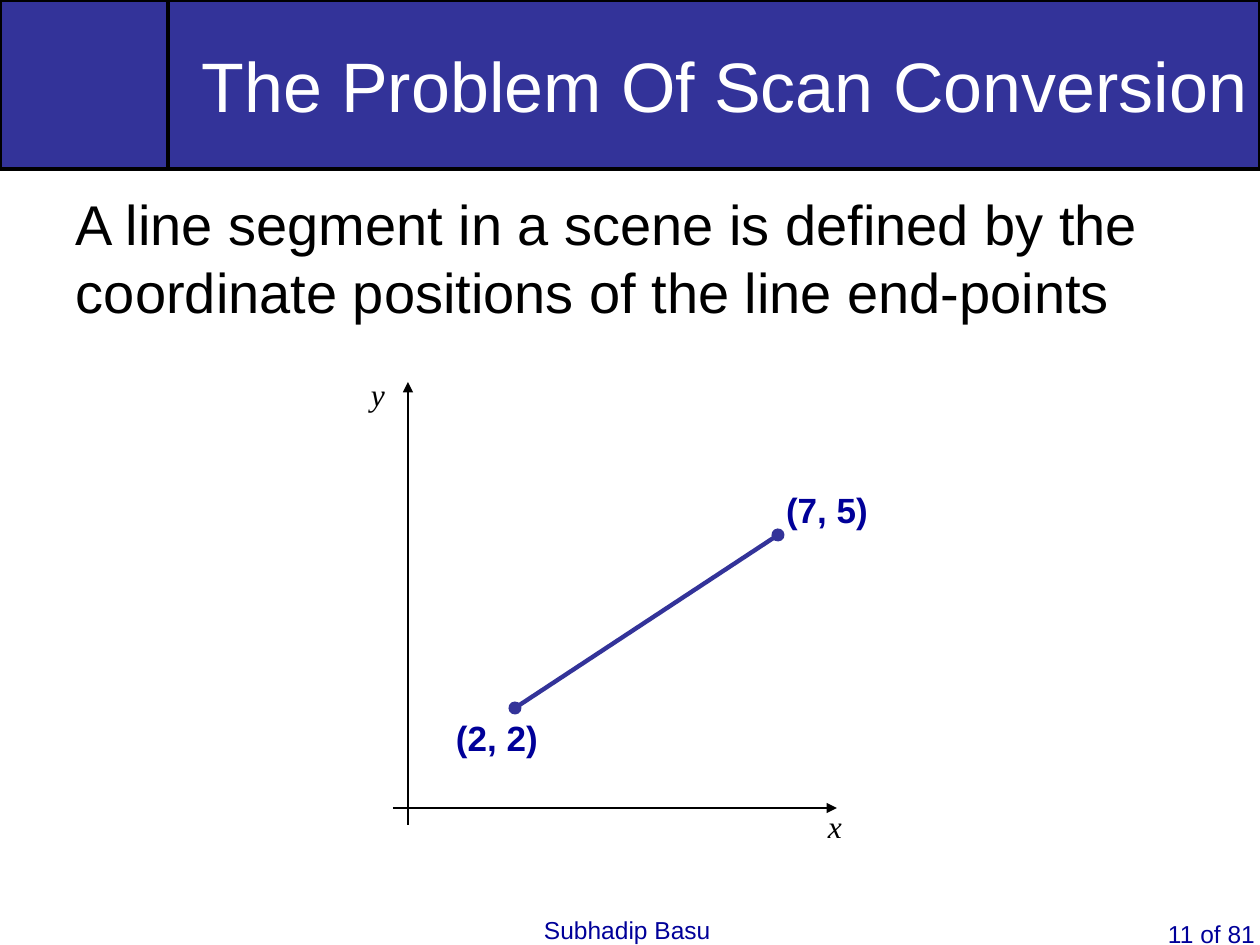
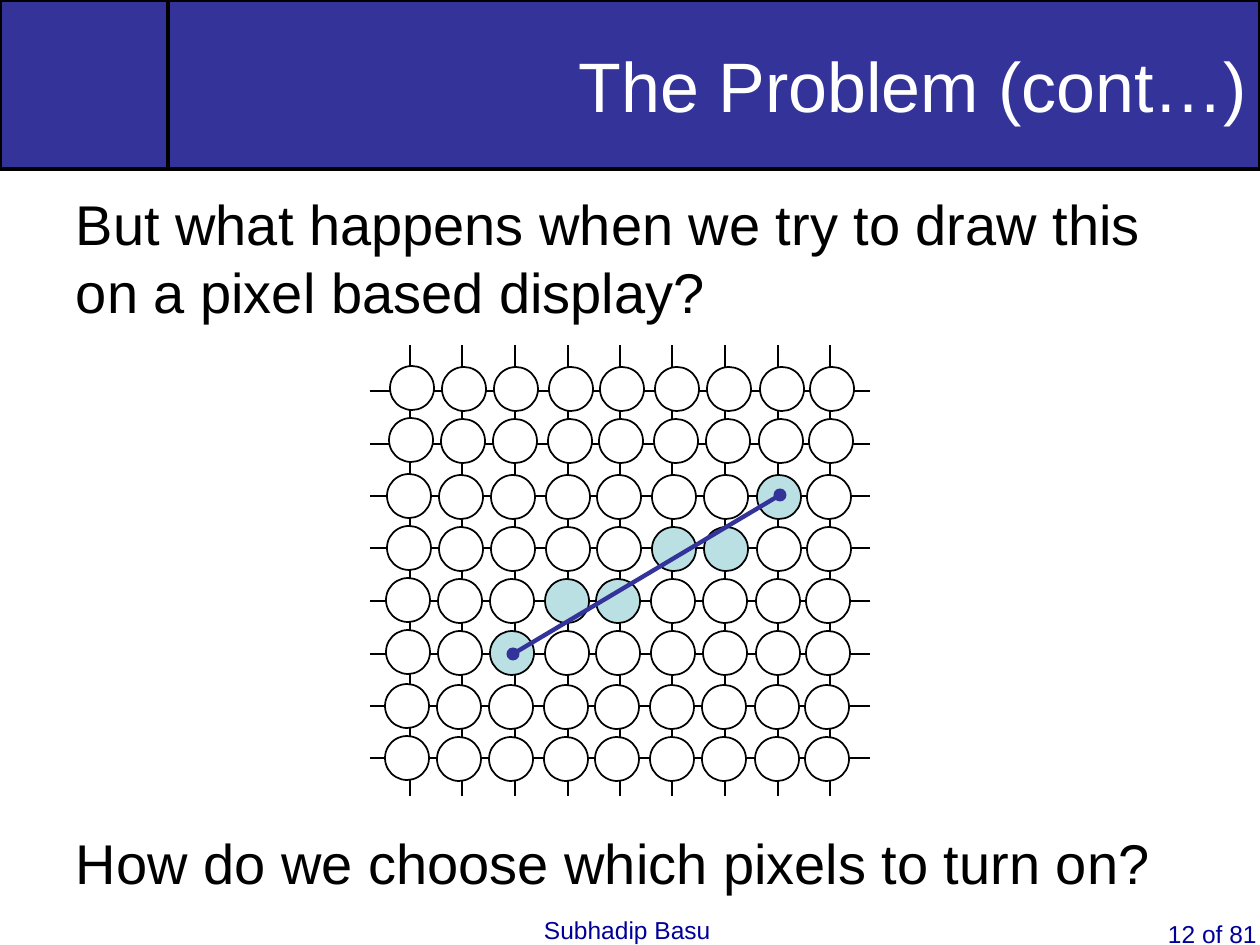
from lxml.etree import SubElement
from pptx import Presentation
from pptx.dml.color import RGBColor
from pptx.enum.shapes import MSO_CONNECTOR, MSO_SHAPE
from pptx.enum.text import MSO_ANCHOR, PP_ALIGN
from pptx.oxml.ns import qn
from pptx.util import Pt

# Content
AUTHOR = "Subhadip Basu"
TOTAL_PAGES = 81
SCAN_TITLE = "The Problem Of Scan Conversion"
SCAN_TEXT = ("A line segment in a scene is defined by the coordinate "
             "positions of the line end-points")
PIXEL_TITLE = "The Problem (cont…)"
PIXEL_TEXT = "But what happens when we try to draw this on a pixel based display?"
PIXEL_QUESTION = "How do we choose which pixels to turn on?"

# Axes and segment: start, end in px
AXES = [((408, 825), (408, 382)), ((393, 808), (837, 808))]
AXIS_LABELS = [("x", (815, 801, 50, 50)), ("y", (358, 369, 50, 50))]
SEGMENT = ((515, 708), (778, 535))
POINT_LABELS = [("(2, 2)", (443, 710, 130, 55)), ("(7, 5)", (773, 482, 130, 55))]

# Pixel grid: columns count from the left, rows from the top
COLUMN_LEFTS = [385, 437, 489, 544, 595, 650, 702, 755, 805]
ROW_TOPS = [367, 419, 475, 527, 579, 631, 685, 737]
ROW_DRIFTS = [5, 4, 2, 2, 1, 1, 0, 0]
LIT_PIXELS = {(2, 5), (3, 4), (4, 4), (5, 3), (6, 3), (7, 2)}
PIXEL_SIZE = 44
WIRE_LEFT, WIRE_TOP = 410, 391
WIRE_STEP = 52.5
PIXEL_SEGMENT = ((513, 654), (780, 495))

# Shared style
COLORS = {"band": "333399", "label": "000099", "ink": "000000",
          "paper": "FFFFFF", "lit": "BBE0E3"}
SLIDE_WIDTH, SLIDE_HEIGHT = 1260, 945
EMU_PER_PX = 914400 / 126
INSET_X, INSET_Y = 13, 6
BODY_BOX = (63, 184, 1134, 150)
QUESTION_BOX = (63, 823, 1134, 90)
PAGE_NUMBER_BOX = (1155, 913, 105, 32)
AUTHOR_BOX = (531, 909, 240, 36)


def px(length):
    return round(length * EMU_PER_PX)


def color(name):
    return RGBColor.from_string(COLORS[name])


def write(frame, text, size=32, ink="ink", font="Arial", bold=False, italic=False,
          align=PP_ALIGN.LEFT, anchor=MSO_ANCHOR.TOP, inset_right=INSET_X):
    frame.word_wrap = True
    frame.vertical_anchor = anchor
    frame.margin_left, frame.margin_right = px(INSET_X), px(inset_right)
    frame.margin_top = frame.margin_bottom = px(INSET_Y)
    paragraph = frame.paragraphs[0]
    paragraph.alignment = align
    run = paragraph.add_run()
    run.text = text
    run.font.name, run.font.size = font, Pt(size)
    run.font.bold, run.font.italic = bold, italic
    run.font.color.rgb = color(ink)


def add_text(slide, text, box, **style):
    write(slide.shapes.add_textbox(*map(px, box)).text_frame, text, **style)


def add_outlined(slide, preset, box, fill, weight):
    shape = slide.shapes.add_shape(preset, *map(px, box))
    shape.shadow.inherit = False
    shape.fill.solid()
    shape.fill.fore_color.rgb = color(fill)
    shape.line.color.rgb = color("ink")
    shape.line.width = Pt(weight)
    return shape


def add_line(slide, start, end, ink="ink", weight=1, head=None, tail=None):
    line = slide.shapes.add_connector(
        MSO_CONNECTOR.STRAIGHT, *map(px, (*start, *end)))
    line.line.color.rgb = color(ink)
    line.line.width = Pt(weight)
    properties = line.line._get_or_add_ln()
    for tag, kind in (("a:headEnd", head), ("a:tailEnd", tail)):
        if kind:
            SubElement(properties, qn(tag), type=kind)
    SubElement(line._element.spPr, qn("a:effectLst"))


def add_segment(slide, ends):
    add_line(slide, *ends, ink="band", weight=2.5, head="oval", tail="oval")


def add_page(deck, title, number):
    """Blank slide with the title bands and the footer."""
    slide = deck.slides.add_slide(deck.slide_layouts[6])
    add_outlined(slide, MSO_SHAPE.RECTANGLE, (0, 0, 168, 169), "band", 2)
    band = add_outlined(slide, MSO_SHAPE.RECTANGLE,
                        (168, 0, SLIDE_WIDTH - 168, 169), "band", 2)
    write(band.text_frame, title, size=40, ink="paper",
          align=PP_ALIGN.RIGHT, anchor=MSO_ANCHOR.MIDDLE)
    for text, box in ((f"{number} of {TOTAL_PAGES}", PAGE_NUMBER_BOX),
                      (AUTHOR, AUTHOR_BOX)):
        add_text(slide, text, box, size=14, ink="label", inset_right=0)
    return slide


def build_scan_conversion(deck):
    slide = add_page(deck, SCAN_TITLE, 11)
    add_text(slide, SCAN_TEXT, BODY_BOX)
    # Axes
    for start, end in AXES:
        add_line(slide, start, end, tail="triangle")
    for name, box in AXIS_LABELS:
        add_text(slide, name, box, size=18, font="Times New Roman", italic=True)
    # Segment with its end-points
    add_segment(slide, SEGMENT)
    for point, box in POINT_LABELS:
        add_text(slide, point, box, size=20, ink="label", bold=True)


def build_pixel_display(deck):
    slide = add_page(deck, PIXEL_TITLE, 12)
    add_text(slide, PIXEL_TEXT, BODY_BOX)
    # Wires behind the pixels
    for column in range(len(COLUMN_LEFTS)):
        x = round(WIRE_LEFT + column * WIRE_STEP)
        add_line(slide, (x, 796), (x, 345))
    for row in range(len(ROW_TOPS)):
        y = round(WIRE_TOP + row * WIRE_STEP)
        add_line(slide, (370, y), (870, y))
    # Pixels, each row drifting a little to the right of the one below
    for row, (top, drift) in enumerate(zip(ROW_TOPS, ROW_DRIFTS)):
        for column, left in enumerate(COLUMN_LEFTS):
            lift = 1 if column == 0 else 0
            fill = "lit" if (column, row) in LIT_PIXELS else "paper"
            add_outlined(slide, MSO_SHAPE.OVAL,
                         (left + drift, top - lift, PIXEL_SIZE, PIXEL_SIZE), fill, 1)
    add_segment(slide, PIXEL_SEGMENT)
    add_text(slide, PIXEL_QUESTION, QUESTION_BOX)


def main():
    deck = Presentation()
    deck.slide_width, deck.slide_height = px(SLIDE_WIDTH), px(SLIDE_HEIGHT)
    build_scan_conversion(deck)
    build_pixel_display(deck)
    deck.save("out.pptx")


if __name__ == "__main__":
    main()
